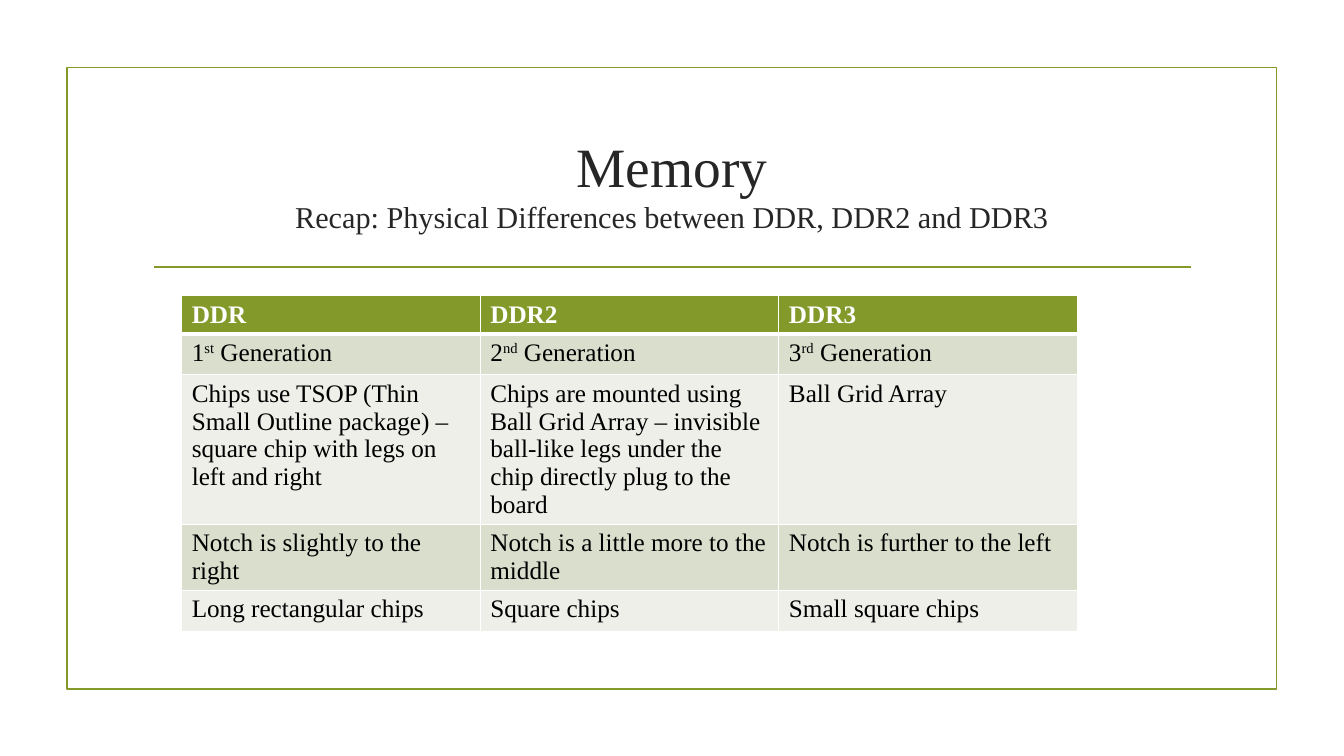
from dataclasses import dataclass
from lxml.etree import SubElement
from pptx import Presentation
from pptx.dml.color import RGBColor
from pptx.enum.shapes import MSO_CONNECTOR, MSO_SHAPE
from pptx.enum.text import MSO_ANCHOR, MSO_AUTO_SIZE, PP_ALIGN
from pptx.oxml import parse_xml
from pptx.oxml.ns import nsdecls, qn
from pptx.util import Pt

HEADING = [
    "Memory",
    "Recap: Physical Differences between DDR, DDR2 and DDR3",
]
GENERATIONS = [
    ("DDR", "DDR2", "DDR3"),
    (("1", "st", " Generation"), ("2", "nd", " Generation"), ("3", "rd", " Generation")),
    (
        "Chips use TSOP (Thin Small Outline package) – square chip with legs on left and right",
        "Chips are mounted using Ball Grid Array – invisible ball-like legs under the chip directly plug to the board",
        "Ball Grid Array",
    ),
    ("Notch is slightly to the right", "Notch is a little more to the middle", "Notch is further to the left"),
    ("Long rectangular chips", "Square chips", "Small square chips"),
]


@dataclass(frozen=True)
class Theme:
    font: str = "Times New Roman"
    accent: str = "83992A"
    heading: str = "262626"
    body: str = "000000"
    white: str = "FFFFFF"
    bands: tuple = ("EDEFE8", "D9DECD")
    heading_sizes: tuple = (39.6, 21.6)
    cell_size: float = 18
    rule: float = 1.25
    border: float = 1
    header_border: float = 3


THEME = Theme()
ROW_HEIGHTS = (27, 29.2, 107, 47.2, 29.2)
COLUMN_WIDTH = 213.3


def rgb(code):
    return RGBColor.from_string(code)


def style(font, size, color, bold=False):
    font.name = THEME.font
    font.size = Pt(size)
    font.color.rgb = rgb(color)
    font.bold = bold


def rule_line(line):
    line.color.rgb = rgb(THEME.accent)
    line.width = Pt(THEME.rule)


def add_frame(slide):
    frame = slide.shapes.add_shape(MSO_SHAPE.RECTANGLE, Pt(47.8), Pt(48.2), Pt(864), Pt(444.2))
    frame.shadow.inherit = False
    frame.fill.background()
    rule_line(frame.line)
    divider = slide.shapes.add_connector(MSO_CONNECTOR.STRAIGHT, Pt(110), Pt(190.7), Pt(850.4), Pt(190.7))
    rule_line(divider.line)
    SubElement(divider._element.spPr, qn("a:effectLst"))


def add_heading(slide):
    heading = slide.shapes.title
    heading.left, heading.top, heading.width, heading.height = Pt(102), Pt(77), Pt(756), Pt(108)
    frame = heading.text_frame
    frame.text = "\n".join(HEADING)
    frame.word_wrap = True
    frame.auto_size = MSO_AUTO_SIZE.NONE
    frame.vertical_anchor = MSO_ANCHOR.MIDDLE
    for paragraph, size in zip(frame.paragraphs, THEME.heading_sizes):
        paragraph.alignment = PP_ALIGN.CENTER
        paragraph.space_before = Pt(0)
        style(paragraph.runs[0].font, size, THEME.heading)


def add_borders(cell, top, bottom):
    widths = (("lnL", THEME.border), ("lnR", THEME.border), ("lnT", top), ("lnB", bottom))
    properties = cell._tc.get_or_add_tcPr()
    for position, (side, width) in enumerate(widths):
        border = parse_xml(
            f'<a:{side} {nsdecls("a")} w="{Pt(width)}"><a:solidFill>'
            f'<a:srgbClr val="{THEME.white}"/></a:solidFill></a:{side}>'
        )
        properties.insert(position, border)


def fill_cell(cell, content, row):
    paragraph = cell.text_frame.paragraphs[0]
    if isinstance(content, str):
        paragraph.text = content
    else:
        for part in content:
            paragraph.add_run().text = part
        paragraph.runs[1]._r.get_or_add_rPr().set("baseline", "30000")
    header = row == 0
    for run in paragraph.runs:
        style(run.font, THEME.cell_size, THEME.white if header else THEME.body, header)
    cell.fill.solid()
    cell.fill.fore_color.rgb = rgb(THEME.accent if header else THEME.bands[row % 2])
    add_borders(
        cell,
        THEME.header_border if row == 1 else THEME.border,
        THEME.header_border if header else THEME.border,
    )


def add_generations(slide):
    columns = len(GENERATIONS[0])
    table = slide.shapes.add_table(
        len(GENERATIONS), columns, Pt(129.8), Pt(211.2), Pt(COLUMN_WIDTH * columns), Pt(sum(ROW_HEIGHTS))
    ).table
    for column in table.columns:
        column.width = Pt(COLUMN_WIDTH)
    for row, contents in enumerate(GENERATIONS):
        table.rows[row].height = Pt(ROW_HEIGHTS[row])
        for column, content in enumerate(contents):
            fill_cell(table.cell(row, column), content, row)


def main():
    deck = Presentation()
    deck.slide_width, deck.slide_height = Pt(960), Pt(540)
    slide = deck.slides.add_slide(deck.slide_layouts[5])
    add_frame(slide)
    add_heading(slide)
    add_generations(slide)
    deck.save("out.pptx")


if __name__ == "__main__":
    main()
